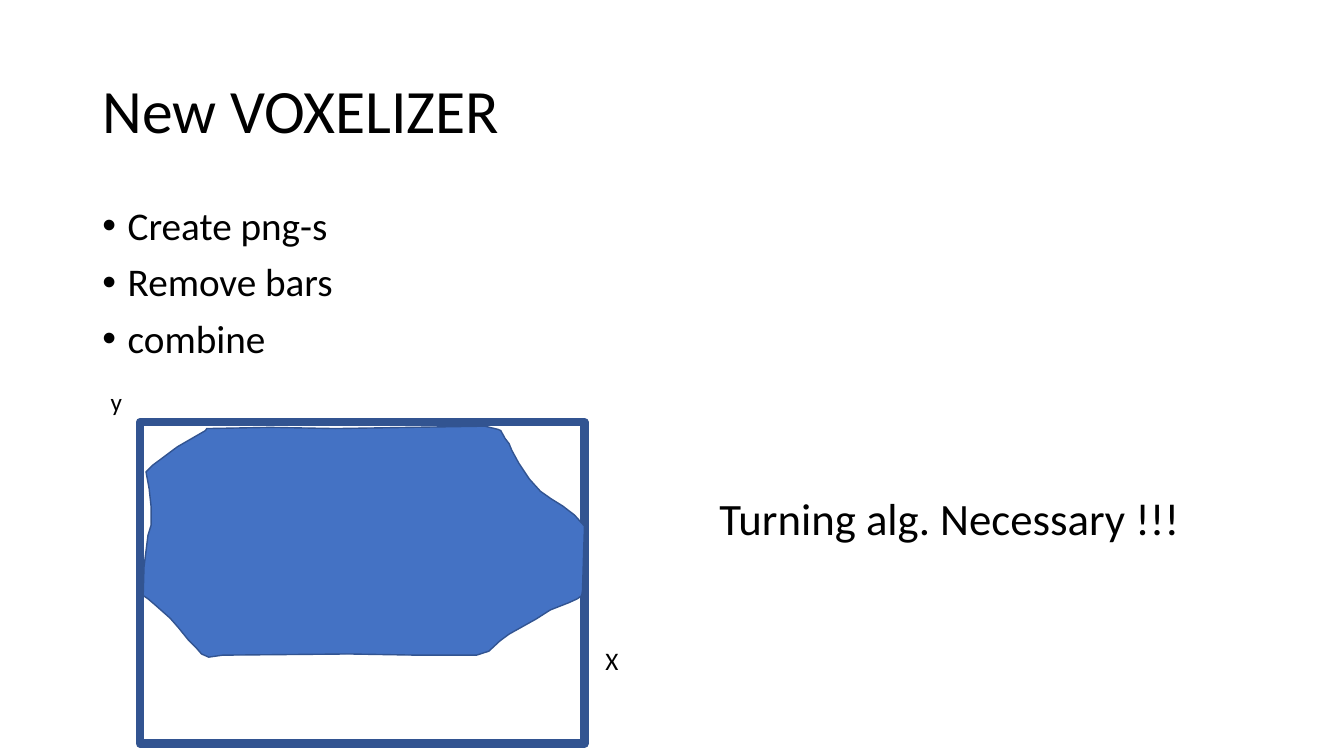
"""Build the "New VOXELIZER" slide with its steps and part outline."""
from dataclasses import dataclass

from lxml import etree
from pptx import Presentation
from pptx.dml.color import RGBColor
from pptx.enum.shapes import MSO_SHAPE
from pptx.enum.text import MSO_ANCHOR, MSO_AUTO_SIZE, PP_ALIGN
from pptx.oxml.ns import qn
from pptx.util import Cm, Pt

RECTANGLE = MSO_SHAPE.RECTANGLE
TOP, MIDDLE = MSO_ANCHOR.TOP, MSO_ANCHOR.MIDDLE
LEFT = PP_ALIGN.LEFT
NO_FIT = MSO_AUTO_SIZE.NONE
TITLE_ONLY = 5
FONT = "Calibri"
COLOURS = {"text": "000000", "part": "4472C4", "outline": "325491"}
BULLET_INDENT = Cm(0.64)
OUTLINE_UNIT = Cm(0.01)
PART_OUTLINE = [
    (518, 1085), (447, 1126), (384, 1173), (368, 1189), (376, 1232),
    (381, 1278), (381, 1323), (373, 1349), (363, 1429), (361, 1501),
    (373, 1509), (394, 1527), (429, 1558), (450, 1582), (475, 1613),
    (495, 1633), (508, 1648), (526, 1656), (561, 1651), (879, 1648),
    (1052, 1651), (1201, 1651), (1232, 1641), (1260, 1615), (1283, 1598),
    (1351, 1560), (1387, 1537), (1433, 1519), (1455, 1509), (1466, 1501),
    (1468, 1488), (1471, 1387), (1473, 1326), (1448, 1298), (1418, 1275),
    (1389, 1257), (1362, 1238), (1334, 1207), (1308, 1168), (1290, 1135),
    (1283, 1118), (1273, 1105), (1262, 1085), (1255, 1082), (1222, 1074),
    (846, 1080), (681, 1077), (521, 1080),
]


@dataclass(frozen=True)
class Box:
    """Position and size in centimetres."""
    left: float
    top: float
    width: float
    height: float

    def lengths(self) -> tuple:
        """Return the four values as lengths."""
        return Cm(self.left), Cm(self.top), Cm(self.width), Cm(self.height)


@dataclass(frozen=True)
class Caption:
    """A text with its place and type size."""
    lines: tuple
    box: Box
    size: int
    bulleted: bool = False


HEADING = Caption(("New VOXELIZER",), Box(2.33, 1.02, 29.21, 3.68), 44)
CAPTIONS = [
    Caption(("Create png-s", "Remove bars", "combine"),
            Box(2.33, 5.08, 29.21, 12.09), 28, True),
    Caption(("X",), Box(15.01, 16.13, 1.37, 1.02), 18),
    Caption(("y",), Box(2.54, 9.6, 1.37, 1.02), 18),
    Caption(("Turning alg. Necessary !!!",), Box(17.88, 12.24, 13.44, 1.63), 32),
]
BOUNDS = Box(3.53, 10.64, 11.2, 8.1)


def apply(target, formats: dict) -> None:
    """Set every attribute named in a dict of format values."""
    for attribute, value in formats.items():
        setattr(target, attribute, value)


def colour(name: str) -> RGBColor:
    """Look up a named colour."""
    return RGBColor.from_string(COLOURS[name])


def add_bullet(paragraph) -> None:
    """Give a paragraph a bullet with a hanging indent."""
    properties = paragraph._p.get_or_add_pPr()
    properties.set("marL", str(BULLET_INDENT))
    properties.set("indent", str(-BULLET_INDENT))
    etree.SubElement(properties, qn("a:buFont")).set("typeface", "Arial")
    etree.SubElement(properties, qn("a:buChar")).set("char", "•")


def write(frame, caption: Caption, anchor, spacing: dict) -> None:
    """Fill a text frame with the lines of a caption."""
    apply(frame, {"word_wrap": True, "auto_size": NO_FIT, "vertical_anchor": anchor})
    for index, line in enumerate(caption.lines):
        paragraph = frame.add_paragraph() if index else frame.paragraphs[0]
        apply(paragraph, {"text": line, "alignment": LEFT, **spacing})
        font = paragraph.runs[0].font
        apply(font, {"name": FONT, "size": Pt(caption.size)})
        font.color.rgb = colour("text")
        if caption.bulleted:
            add_bullet(paragraph)


def add_caption(slide, caption: Caption) -> None:
    """Place a caption in its own text box."""
    spacing = {"line_spacing": 0.9, "space_before": Pt(10)} if caption.bulleted else {}
    text_box = slide.shapes.add_textbox(*caption.box.lengths())
    write(text_box.text_frame, caption, TOP, spacing)


def style_outline(shape, width: float) -> None:
    """Draw the border of a shape and drop its shadow."""
    shape.shadow.inherit = False
    shape.line.color.rgb = colour("outline")
    shape.line.width = Pt(width)


def add_title(slide, caption: Caption) -> None:
    """Move and format the title placeholder."""
    title = slide.shapes.title
    apply(title, dict(zip(("left", "top", "width", "height"), caption.box.lengths())))
    write(title.text_frame, caption, MIDDLE, {"line_spacing": 0.9})


def add_part(slide) -> None:
    """Draw the bounding frame and the part inside it."""
    bounds = slide.shapes.add_shape(RECTANGLE, *BOUNDS.lengths())
    bounds.fill.background()
    style_outline(bounds, 6)
    start, *rest = PART_OUTLINE
    builder = slide.shapes.build_freeform(*start, scale=OUTLINE_UNIT)
    builder.add_line_segments(rest, close=True)
    part = builder.convert_to_shape()
    part.fill.solid()
    part.fill.fore_color.rgb = colour("part")
    style_outline(part, 1)


def main() -> None:
    """Build and save the presentation."""
    presentation = Presentation()
    apply(presentation, {"slide_width": Cm(33.87), "slide_height": Cm(19.05)})
    slide = presentation.slides.add_slide(presentation.slide_layouts[TITLE_ONLY])
    add_title(slide, HEADING)
    steps, *labels = CAPTIONS
    add_caption(slide, steps)
    add_part(slide)
    for label in labels:
        add_caption(slide, label)
    presentation.save("out.pptx")


main()
